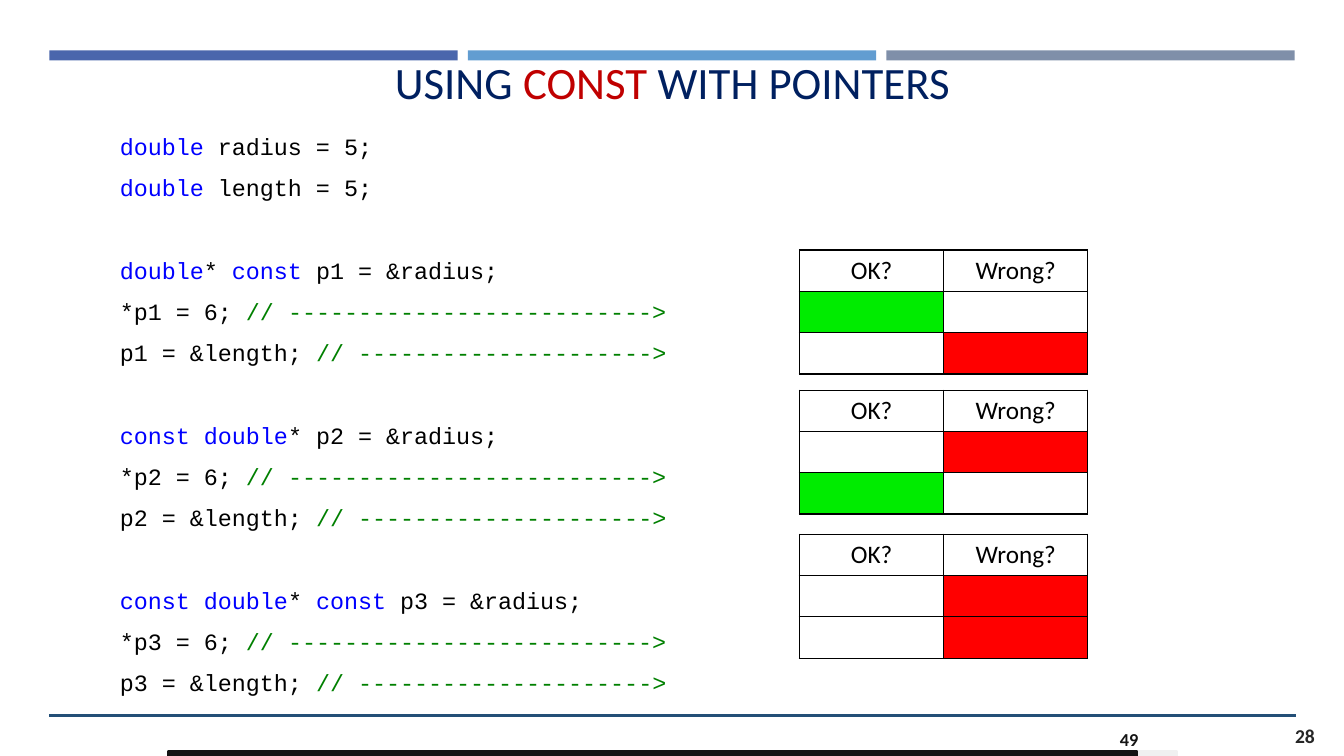
from typing import Any, NamedTuple, Optional

from lxml import etree
from pptx import Presentation
from pptx.dml.color import RGBColor
from pptx.enum.shapes import MSO_CONNECTOR, MSO_SHAPE
from pptx.enum.text import MSO_ANCHOR, PP_ALIGN
from pptx.oxml.ns import qn
from pptx.util import Inches, Pt

RECTANGLE = MSO_SHAPE.RECTANGLE
STRAIGHT = MSO_CONNECTOR.STRAIGHT
MIDDLE, BOTTOM = MSO_ANCHOR.MIDDLE, MSO_ANCHOR.BOTTOM
LEFT, CENTER, RIGHT = PP_ALIGN.LEFT, PP_ALIGN.CENTER, PP_ALIGN.RIGHT

BLACK, WHITE, NAVY, CRIMSON = "000000", "FFFFFF", "002060", "C00000"
KEYWORD, COMMENT = "0000FF", "008000"
GREEN, RED = "00EC00", "FF0000"
CODE_SIZE, LINE_PITCH, SPACE_BEFORE, SPACE_AFTER = 16.7, 29.26, 3.5, 6
TABLE_LEFT, COLUMN_WIDTH, ROW_HEIGHT = 7.93, 1.43, 0.41


class Box(NamedTuple):
    left: float
    top: float
    width: float
    height: float


class Run(NamedTuple):
    text: str
    color: str = BLACK


class Bar(NamedTuple):
    box: Box
    fill: str
    line_width: float = 0


class Verdict(NamedTuple):
    """Whether assigning the pointed-to value and the pointer compiles."""
    top: float
    value_ok: bool
    pointer_ok: bool


class Label(NamedTuple):
    box: Box
    runs: list[Run]
    font: dict[str, Any]
    align: Any
    anchor: Any = MIDDLE
    margin: float = 0.1


VALUE_ARROW = Run("// -------------------------->", COMMENT)
POINTER_ARROW = Run("// --------------------->", COMMENT)
DECLARATIONS = [
    [Run("double", KEYWORD), Run("* "), Run("const", KEYWORD)],
    [Run("const double", KEYWORD), Run("*")],
    [Run("const double", KEYWORD), Run("* "), Run("const", KEYWORD)],
]
VERDICTS = [
    Verdict(2.48, True, False),
    Verdict(3.87, False, True),
    Verdict(5.3, False, False),
]
BARS = [
    Bar(Box(0.49 + 4.15 * index, 0.5, 4.05, 0.1), fill)
    for index, fill in enumerate(["4A66AC", "629DD1", "7F8FA9"])
] + [
    Bar(Box(1.67, 7.45, 10, 0.05), "F0F0F0", 1.75),
    Bar(Box(1.67, 7.45, 9.61, 0.05), "141414", 1.75),
]
LABELS = [
    Label(Box(0.64, 0.53, 12.06, 0.55),
          [Run("USING ", NAVY), Run("CONST", CRIMSON), Run(" WITH POINTERS", NAVY)],
          {"name": "Calibri", "size": Pt(32)}, CENTER, BOTTOM, 0),
    Label(Box(12.55, 7.1, 0.59, 0.4), [Run("28", "262626")],
          {"name": "Calibri", "size": Pt(14), "bold": True}, RIGHT),
    Label(Box(11.01, 7.17, 1.35, 0.32), [Run("49", "141414")],
          {"name": "Calibri", "size": Pt(13), "bold": True}, LEFT),
]


def rgb(color: str) -> RGBColor:
    return RGBColor.from_string(color)


def apply_format(target: Any, values: dict[str, Any]) -> None:
    for name, value in values.items():
        setattr(target, name, value)


def place(box: Box) -> list[int]:
    return [Inches(length) for length in box]


def add_runs(paragraph: Any, runs: list[Run], font: dict[str, Any]) -> None:
    for item in runs:
        run = paragraph.add_run()
        run.text = item.text
        apply_format(run.font, font)
        run.font.color.rgb = rgb(item.color)


def add_text_frame(slide: Any, box: Box, anchor: Any, margin: float = 0.1) -> Any:
    frame = slide.shapes.add_textbox(*place(box)).text_frame
    apply_format(frame, {
        "word_wrap": True, "vertical_anchor": anchor,
        "margin_left": Inches(margin), "margin_right": Inches(margin),
        "margin_top": 0, "margin_bottom": 0,
    })
    return frame


def add_label(slide: Any, label: Label) -> None:
    frame = add_text_frame(slide, label.box, label.anchor, label.margin)
    paragraph = frame.paragraphs[0]
    paragraph.alignment = label.align
    add_runs(paragraph, label.runs, label.font)


def add_bar(slide: Any, bar: Bar) -> None:
    shape = slide.shapes.add_shape(RECTANGLE, *place(bar.box))
    shape.shadow.inherit = False
    shape.fill.solid()
    shape.fill.fore_color.rgb = rgb(bar.fill)
    if bar.line_width:
        shape.line.color.rgb = rgb(bar.fill)
        shape.line.width = Pt(bar.line_width)
    else:
        shape.line.fill.background()


def add_footer_line(slide: Any) -> None:
    line = slide.shapes.add_connector(
        STRAIGHT, Inches(12.85), Inches(7.1), Inches(0.49), Inches(7.1))
    line.line.color.rgb = rgb("234F77")
    line.line.width = Pt(2.25)
    etree.SubElement(line._element.spPr, qn("a:effectLst"))


def code_blocks() -> list[list[list[Run]]]:
    blocks = [[[Run("double", KEYWORD), Run(f" {name} = 5;")]
               for name in ("radius", "length")]]
    for number, declaration in enumerate(DECLARATIONS, start=1):
        blocks.append([
            [*declaration, Run(f" p{number} = &radius;")],
            [Run(f"*p{number} = 6; "), VALUE_ARROW],
            [Run(f"p{number} = &length; "), POINTER_ARROW],
        ])
    return blocks


def add_code(slide: Any) -> None:
    """Add the listing, leaving one line's height between its blocks."""
    frame = add_text_frame(slide, Box(1.09, 1.25, 8.62, 5.72), MIDDLE)
    paragraph = frame.paragraphs[0]
    for block_index, block in enumerate(code_blocks()):
        for line_index, runs in enumerate(block):
            if block_index or line_index:
                paragraph = frame.add_paragraph()
                gap = 0 if line_index else LINE_PITCH
                paragraph.space_before = Pt(SPACE_BEFORE + gap)
            paragraph.space_after = Pt(SPACE_AFTER)
            add_runs(paragraph, runs, {"name": "Courier New", "size": Pt(CODE_SIZE)})


def style_cell(cell: Any, fill: Optional[str]) -> None:
    """Give the cell thin black borders and a fill, or none."""
    properties = cell._tc.get_or_add_tcPr()
    for side in ("a:lnL", "a:lnR", "a:lnT", "a:lnB"):
        border = etree.SubElement(properties, qn(side), w=str(Pt(1)))
        solid = etree.SubElement(border, qn("a:solidFill"))
        etree.SubElement(solid, qn("a:srgbClr"), val=BLACK)
    if fill:
        cell.fill.solid()
        cell.fill.fore_color.rgb = rgb(fill)
    else:
        cell.fill.background()


def add_grid(slide: Any, top: float, fills: list[list[Optional[str]]]) -> Any:
    box = Box(TABLE_LEFT, top, 2 * COLUMN_WIDTH, ROW_HEIGHT * len(fills))
    table = slide.shapes.add_table(len(fills), 2, *place(box)).table
    apply_format(table, {"first_row": False, "horz_banding": False})
    for row, row_fills in enumerate(fills):
        for column, fill in enumerate(row_fills):
            style_cell(table.cell(row, column), fill)
    return table


def add_question(slide: Any, verdict: Verdict) -> None:
    table = add_grid(slide, verdict.top, [[None, None]] * 3)
    for column, heading in enumerate(["OK?", "Wrong?"]):
        paragraph = table.cell(0, column).text_frame.paragraphs[0]
        paragraph.alignment = CENTER
        add_runs(paragraph, [Run(heading)], {"name": "Calibri", "size": Pt(18)})


def add_answer(slide: Any, verdict: Verdict) -> None:
    add_grid(slide, verdict.top + ROW_HEIGHT, [
        [GREEN, WHITE] if allowed else [WHITE, RED]
        for allowed in (verdict.value_ok, verdict.pointer_ok)])


def main() -> None:
    presentation = Presentation()
    apply_format(presentation, {"slide_width": Inches(13.33), "slide_height": Inches(7.5)})
    slide = presentation.slides.add_slide(presentation.slide_layouts[6])
    for bar in BARS:
        add_bar(slide, bar)
    add_footer_line(slide)
    for label in LABELS:
        add_label(slide, label)
    add_code(slide)
    for add_table_layer in (add_question, add_answer):
        for verdict in VERDICTS:
            add_table_layer(slide, verdict)
    presentation.save("out.pptx")


if __name__ == "__main__":
    main()
